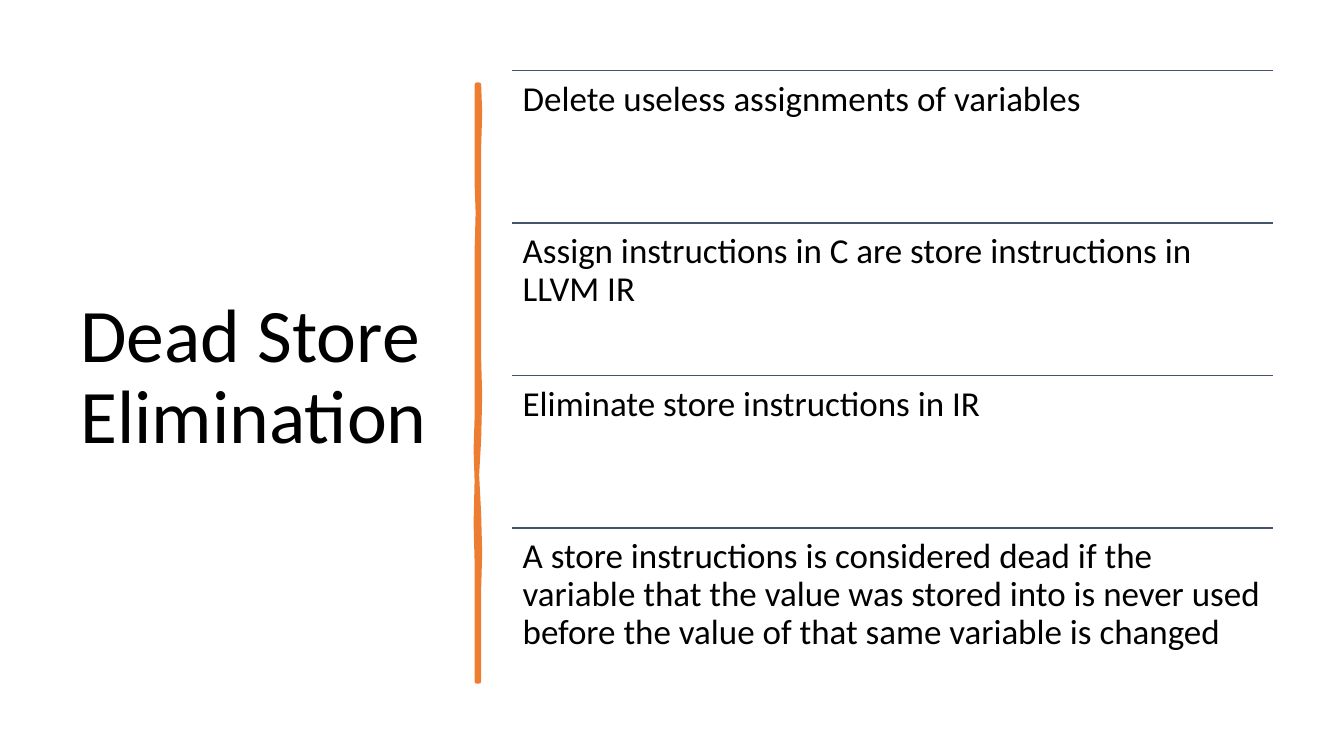
from lxml import etree
from pptx import Presentation
from pptx.dml.color import RGBColor
from pptx.enum import shapes, text
from pptx.oxml import ns
from pptx.util import Inches, Pt

# Content
TITLE = "Dead Store Elimination"
POINTS = [
    "Delete useless assignments of variables",
    "Assign instructions in C are store instructions in LLVM IR",
    "Eliminate store instructions in IR\u00a0",
    "A store instructions is considered dead if the variable that the value "
    "was stored into is never used before the value of that same variable is changed",
]
COLOURS = {"text": "000000", "rule": "44546A", "stroke": "ED7D31"}
FONT = "Calibri"

# Layout, in inches
LIST_LEFT, LIST_TOP, LIST_WIDTH, LIST_HEIGHT = 5.08, 0.7, 7.55, 6.05
ROW_HEIGHT = LIST_HEIGHT / len(POINTS)
LIST_INSET = Pt(7.5)

# Brush stroke: down the right edge, then up the left edge
STROKE_OUTLINE = [
    (4.75, 0.84), (4.76, 1.12), (4.75, 1.46), (4.75, 1.85), (4.75, 2.26),
    (4.75, 2.60), (4.75, 2.94), (4.75, 3.31), (4.75, 3.56), (4.76, 3.93),
    (4.75, 4.36), (4.73, 4.71), (4.75, 5.10), (4.76, 5.49), (4.75, 5.84),
    (4.75, 6.27), (4.75, 6.76),
    (4.73, 6.76), (4.73, 6.45), (4.73, 6.13), (4.73, 5.57), (4.72, 5.19),
    (4.73, 4.77), (4.72, 4.46), (4.73, 4.15), (4.73, 3.78), (4.73, 3.35),
    (4.73, 2.90), (4.73, 2.50), (4.74, 2.11), (4.73, 1.81), (4.73, 1.33),
    (4.73, 0.84),
]


def colour(name):
    return RGBColor.from_string(COLOURS[name])


def add_text(slide, wording, left, top, width, height, size, anchor):
    box = slide.shapes.add_textbox(Inches(left), Inches(top), Inches(width), Inches(height))
    frame = box.text_frame
    frame.word_wrap = True
    frame.vertical_anchor = anchor
    paragraph = frame.paragraphs[0]
    paragraph.text = wording
    paragraph.line_spacing = 0.9
    paragraph.font.name = FONT
    paragraph.font.size = Pt(size)
    paragraph.font.color.rgb = colour("text")
    return frame


def add_rule(slide, top):
    rule = slide.shapes.add_connector(
        shapes.MSO_CONNECTOR.STRAIGHT, Inches(LIST_LEFT), Inches(top),
        Inches(LIST_LEFT + LIST_WIDTH), Inches(top))
    rule.line.color.rgb = colour("rule")
    rule.line.width = Pt(1)
    etree.SubElement(rule._element.spPr, ns.qn("a:effectLst"))


presentation = Presentation()
presentation.slide_width, presentation.slide_height = Inches(13.33), Inches(7.5)
slide = presentation.slides.add_slide(presentation.slide_layouts[6])

# Title
add_text(slide, TITLE, 0.7, 0.7, 3.74, 6.11, 54, text.MSO_ANCHOR.MIDDLE)

# Brush stroke between title and list
outline = [(Inches(x), Inches(y)) for x, y in STROKE_OUTLINE]
builder = slide.shapes.build_freeform(*outline[0])
builder.add_line_segments(outline[1:], close=True)
stroke = builder.convert_to_shape()
stroke.shadow.inherit = False
stroke.fill.solid()
stroke.fill.fore_color.rgb = colour("stroke")
stroke.line.color.rgb = colour("stroke")
stroke.line.width = Pt(3.25)
etree.SubElement(stroke.line._get_or_add_ln(), ns.qn("a:round"))

# Ruled list
for row, point in enumerate(POINTS):
    top = LIST_TOP + row * ROW_HEIGHT
    add_rule(slide, top)
    frame = add_text(slide, point, LIST_LEFT, top, LIST_WIDTH, ROW_HEIGHT, 25,
                     text.MSO_ANCHOR.TOP)
    frame.margin_left = frame.margin_right = LIST_INSET
    frame.margin_top = frame.margin_bottom = LIST_INSET

presentation.save("out.pptx")
